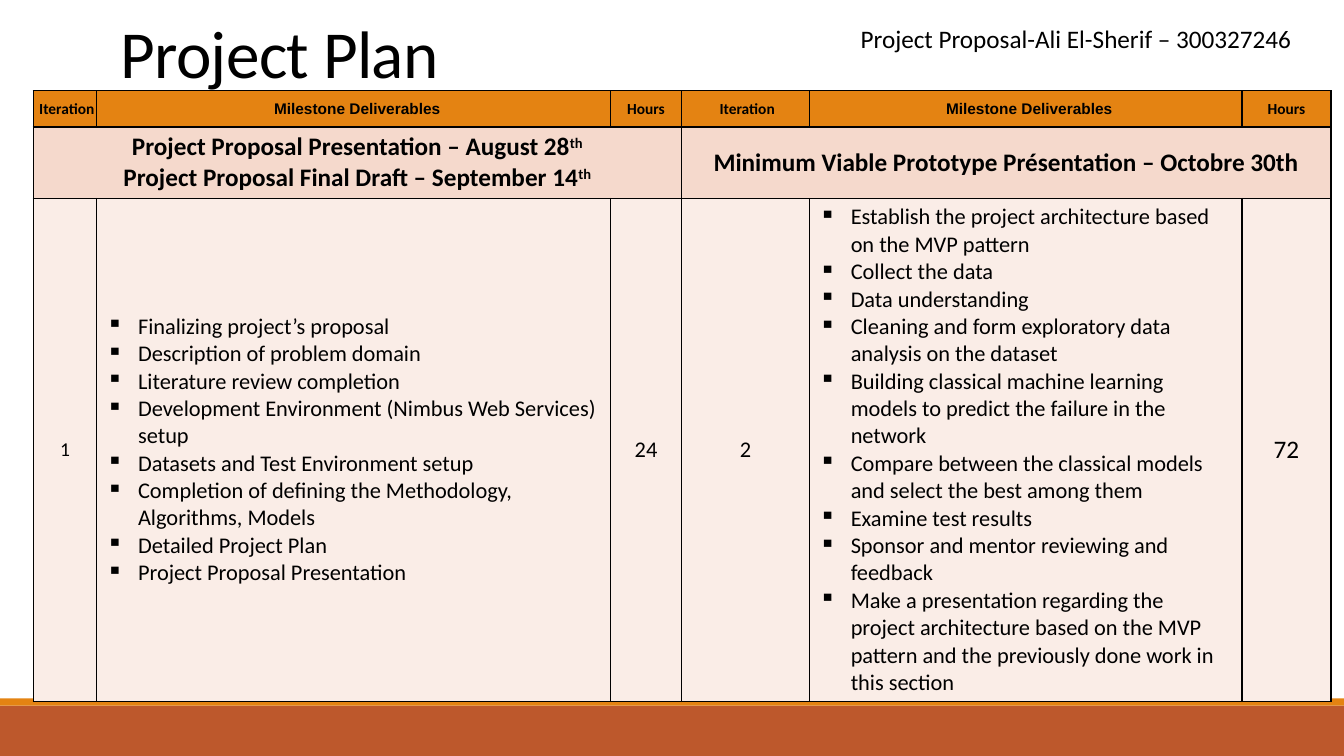
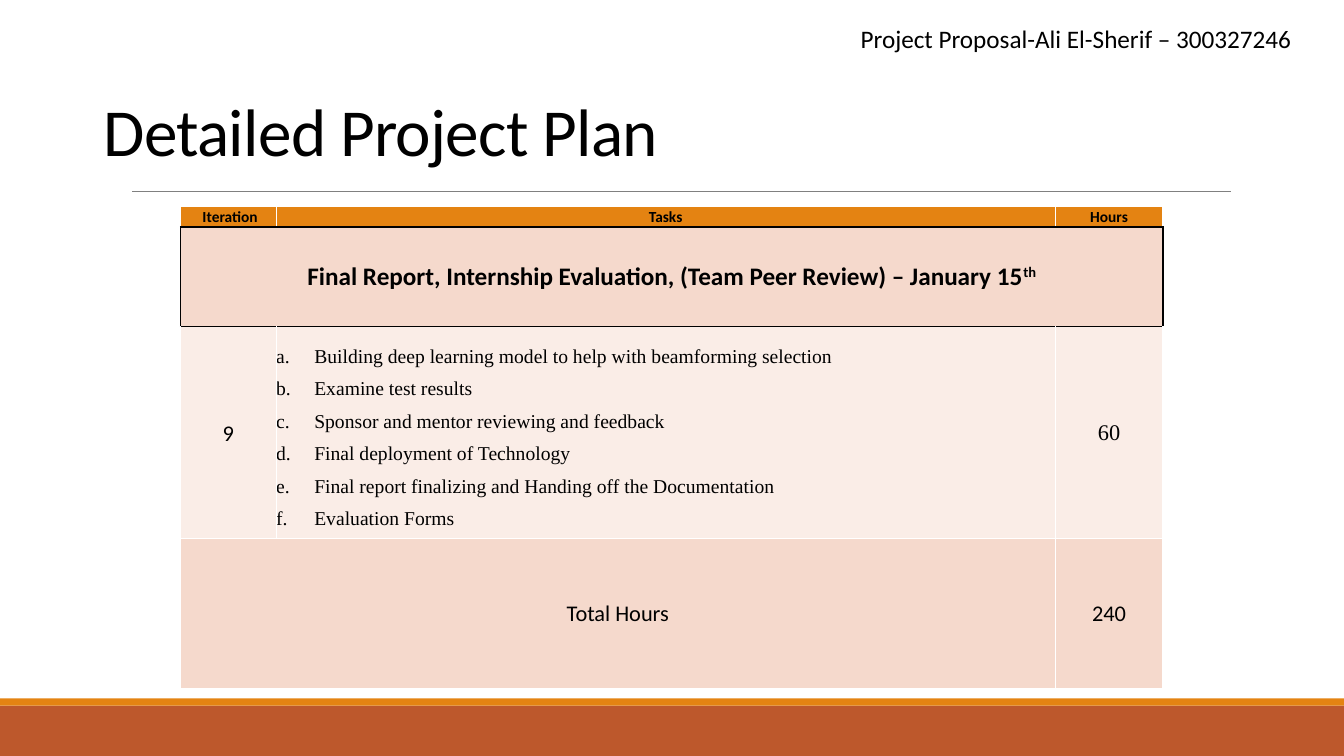
from dataclasses import dataclass

from lxml.etree import SubElement
from pptx import Presentation
from pptx.dml.color import RGBColor
from pptx.enum.shapes import MSO_CONNECTOR, MSO_SHAPE
from pptx.enum.text import MSO_ANCHOR, MSO_AUTO_SIZE, PP_ALIGN
from pptx.oxml.ns import qn
from pptx.util import Cm, Pt

ORANGE, RUST, ROSE, BLUSH = "E48312", "BD582C", "F5D9CC", "FAEDE7"
BLACK, WHITE, GREY = "000000", "FFFFFF", "808080"
SLIDE_WIDTH, SLIDE_HEIGHT = 33.87, 19.05


def color(value):
    return RGBColor.from_string(value)


@dataclass
class Entry:
    """Content of one table cell; in a line, ^ starts a superscript."""
    lines: list
    size: float = 16
    font: str = "Calibri"
    bold: bool = False
    indent: float = 0
    hanging: float = 0
    spacing: float = 1
    bullet: tuple = ()
    span: int = 1


@dataclass
class Band:
    """One table row: its look and its entries."""
    height: float
    fill: str
    edge: str
    entries: list
    margins: tuple = (0, 0)


def heading(text, **options):
    return Entry([text], size=11, bold=True, spacing=1.07, **options)


def milestone(*lines):
    return Entry(lines, size=18, bold=True, span=3)


def square_list(*lines):
    return Entry(lines, indent=0.79, hanging=0.79, bullet=("a:buChar", "char", "▪"))


def lettered_list(*lines):
    return Entry(lines, size=14, font="Times New Roman", indent=0.96, hanging=0.96,
                 spacing=1.5, bullet=("a:buAutoNum", "type", "alphaLcPeriod"))


class PlanDeck:
    def __init__(self):
        self.deck = Presentation()
        self.deck.slide_width = Cm(SLIDE_WIDTH)
        self.deck.slide_height = Cm(SLIDE_HEIGHT)
        self.page = None

    def new_page(self, title, left, top):
        self.page = self.deck.slides.add_slide(self.deck.slide_layouts[6])
        self.bar(17.78, 1.27, RUST)
        self.bar(17.6, 0.18, ORANGE)
        self.title(title, left, top)
        self.running_head()

    def bar(self, top, height, fill):
        bar = self.page.shapes.add_shape(
            MSO_SHAPE.RECTANGLE, 0, Cm(top), Cm(SLIDE_WIDTH), Cm(height))
        bar.shadow.inherit = False
        bar.fill.solid()
        bar.fill.fore_color.rgb = color(fill)
        bar.line.fill.background()

    def rule(self, left, right, top):
        rule = self.page.shapes.add_connector(
            MSO_CONNECTOR.STRAIGHT, Cm(left), Cm(top), Cm(right), Cm(top))
        rule.line.color.rgb = color(GREY)
        rule.line.width = Pt(0.5)
        SubElement(rule._element.spPr, qn("a:effectLst"))

    def text(self, text, left, top, width, height, size):
        box = self.page.shapes.add_textbox(Cm(left), Cm(top), Cm(width), Cm(height))
        box.text_frame.word_wrap = True
        para = box.text_frame.paragraphs[0]
        para.add_run().text = text
        self.style(para, size)
        return box.text_frame

    def title(self, text, left, top):
        frame = self.text(text, left, top, 28.27, 2.46, 48)
        frame.vertical_anchor = MSO_ANCHOR.BOTTOM
        para = frame.paragraphs[0]
        para.line_spacing = 0.85
        para.runs[0]._r.get_or_add_rPr().set("spc", "-50")

    def running_head(self):
        frame = self.text("Project Proposal-Ali El-Sherif – 300327246",
                          21.44, 0.46, 11.73, 1.02, 18)
        frame.auto_size = MSO_AUTO_SIZE.SHAPE_TO_FIT_TEXT

    def style(self, para, size, font="Calibri", bold=False):
        para.font.size = Pt(size)
        para.font.name = font
        para.font.bold = bold
        para.font.color.rgb = color(BLACK)

    def table(self, left, top, widths, bands):
        frame = self.page.shapes.add_table(
            len(bands), len(widths), Cm(left), Cm(top),
            Cm(sum(widths)), Cm(sum(band.height for band in bands)))
        table = frame.table
        table.first_row = table.horz_banding = False
        for column, width in zip(table.columns, widths):
            column.width = Cm(width)
        edges = [band.edge for band in bands]
        for index, band in enumerate(bands):
            table.rows[index].height = Cm(band.height)
            near = edges[max(index - 1, 0):index + 2]
            above = BLACK if BLACK in edges[max(index - 1, 0):index + 1] else band.edge
            below = BLACK if BLACK in near[-2:] and index + 1 < len(bands) else band.edge
            if index + 1 < len(bands):
                below = BLACK if BLACK in edges[index:index + 2] else band.edge
            for cell in table.rows[index].cells:
                cell.fill.solid()
                cell.fill.fore_color.rgb = color(band.fill)
                self.borders(cell, (band.edge, band.edge, above, below))
            column = 0
            for entry in band.entries:
                cell = table.cell(index, column)
                if entry.span > 1:
                    cell.merge(table.cell(index, column + entry.span - 1))
                self.fill_cell(cell, entry, band.margins)
                column += entry.span

    def borders(self, cell, colors):
        """Draw left, right, top and bottom edges, in that order."""
        properties = cell._tc.get_or_add_tcPr()
        for place, (side, value) in enumerate(zip("LRTB", colors)):
            line = SubElement(properties, qn(f"a:ln{side}"), w=str(Pt(1)))
            fill = SubElement(line, qn("a:solidFill"))
            SubElement(fill, qn("a:srgbClr"), val=value)
            properties.insert(place, line)

    def fill_cell(self, cell, entry, margins):
        cell.vertical_anchor = MSO_ANCHOR.MIDDLE
        cell.margin_left = cell.margin_right = Cm(margins[0])
        cell.margin_top = cell.margin_bottom = Cm(margins[1])
        for index, line in enumerate(entry.lines):
            frame = cell.text_frame
            para = frame.add_paragraph() if index else frame.paragraphs[0]
            para.alignment = PP_ALIGN.LEFT if entry.bullet else PP_ALIGN.CENTER
            para.line_spacing = entry.spacing
            base, _, raised = line.partition("^")
            para.add_run().text = base
            if raised:
                span = para.add_run()
                span.text = raised
                span._r.get_or_add_rPr().set("baseline", "30000")
            properties = para._p.get_or_add_pPr()
            properties.set("marL", str(Cm(entry.indent)))
            properties.set("indent", str(-Cm(entry.hanging)))
            if entry.bullet:
                tag, attribute, value = entry.bullet
                SubElement(properties, qn(tag)).set(attribute, value)
            self.style(para, entry.size, entry.font, entry.bold)


def project_plan(plan):
    plan.new_page("Project Plan", 2.79, 0)
    headings = [heading("Iteration", indent=0.09),
                heading("Milestone Deliverables", font="Arial", indent=0.18),
                heading("Hours")]
    proposal = square_list(
        "Finalizing project’s proposal",
        "Description of problem domain",
        "Literature review completion",
        "Development Environment (Nimbus Web Services) setup",
        "Datasets and Test Environment setup",
        "Completion of defining the Methodology, Algorithms, Models",
        "Detailed Project Plan",
        "Project Proposal Presentation")
    prototype = square_list(
        "Establish the project architecture based on the MVP pattern",
        "Collect the data",
        "Data understanding",
        "Cleaning and form exploratory data analysis on the dataset",
        "Building classical machine learning models to predict the failure in the network",
        "Compare between the classical models and select the best among them",
        "Examine test results",
        "Sponsor and mentor reviewing and feedback",
        "Make a presentation regarding the project architecture based on the MVP "
        "pattern and the previously done work in this section")
    plan.table(0.84, 2.29, [1.6, 12.95, 1.78, 3.23, 10.9, 2.24], [
        Band(0.91, ORANGE, BLACK, headings * 2),
        Band(1.8, ROSE, BLACK, [
            milestone("Project Proposal Presentation – August 28^th",
                      "Project Proposal Final Draft – September 14^th"),
            milestone("Minimum Viable Prototype Présentation – Octobre 30th")]),
        Band(12.67, BLUSH, BLACK, [
            Entry(["1"], size=14), proposal, Entry(["24"]),
            Entry(["2"]), prototype, Entry(["72"], size=18)], margins=(0.25, 0.13)),
    ])


def detailed_plan(plan):
    plan.new_page("Detailed Project Plan", 2.36, 1.96)
    plan.rule(3.33, 31.01, 4.83)
    tasks = lettered_list(
        "Building deep learning model to help with beamforming selection",
        "Examine test results",
        "Sponsor and mentor reviewing and feedback",
        "Final deployment of Technology",
        "Final report finalizing and Handing off the Documentation",
        "Evaluation Forms")
    plan.table(4.55, 5.21, [2.41, 19.63, 2.72], [
        Band(0.51, ORANGE, WHITE, [
            heading("Iteration", indent=0.09), heading("Tasks"), heading("Hours")]),
        Band(2.51, ROSE, BLACK, [milestone(
            "Final Report, Internship Evaluation, (Team Peer Review) – January 15^th")]),
        Band(4.92, BLUSH, WHITE, [
            Entry(["9"], spacing=1.07), tasks,
            Entry(["60"], font="Times New Roman", spacing=1.07)]),
        Band(3.78, ROSE, WHITE, [
            Entry(["Total Hours"], spacing=1.07, span=2), Entry(["240"], spacing=1.07)]),
    ])


def main():
    plan = PlanDeck()
    project_plan(plan)
    detailed_plan(plan)
    plan.deck.save("out.pptx")


if __name__ == "__main__":
    main()
